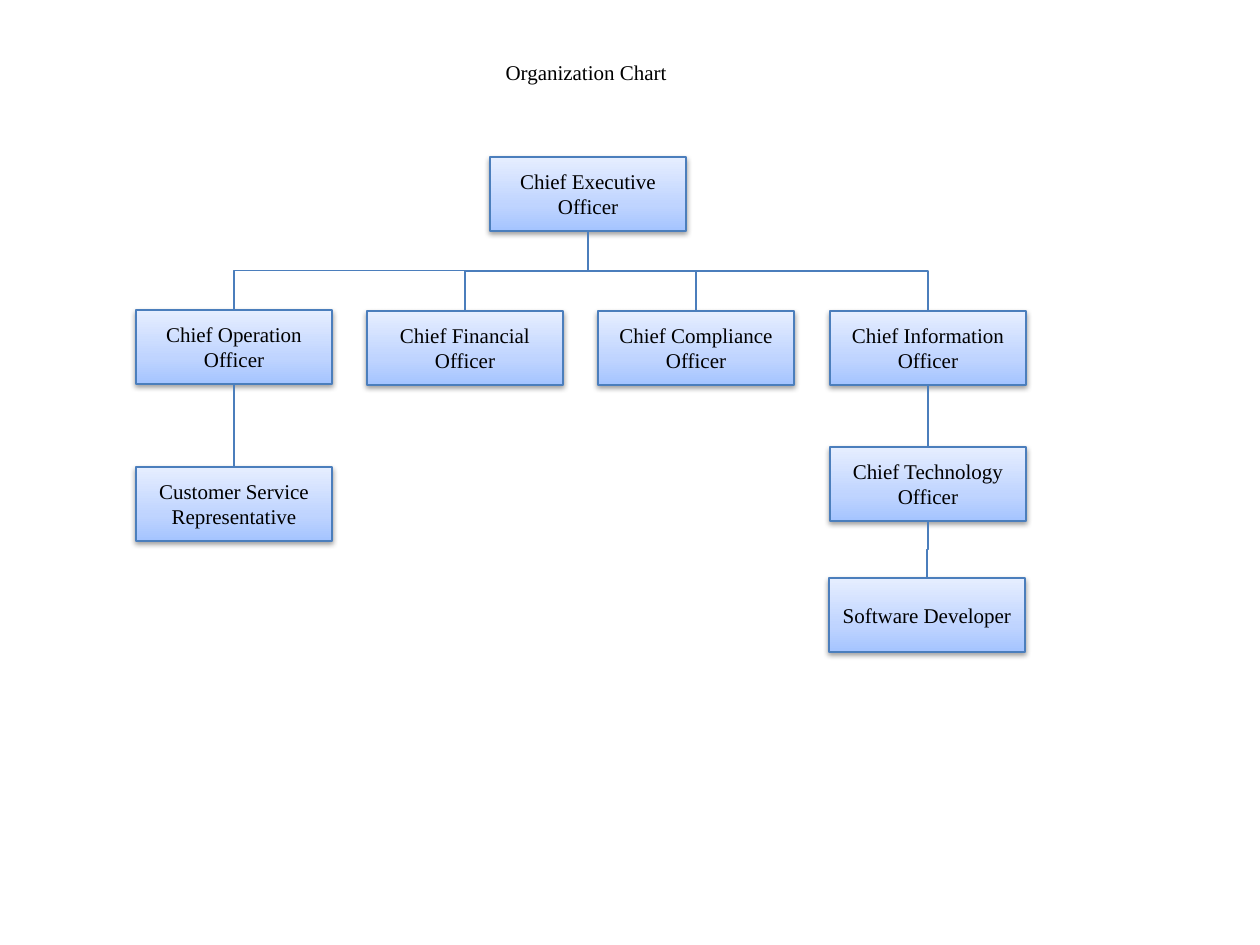
from copy import deepcopy
from pptx import Presentation
from pptx.dml.color import RGBColor
from pptx.enum.shapes import MSO_CONNECTOR, MSO_SHAPE
from pptx.enum.text import MSO_ANCHOR, MSO_AUTO_SIZE, PP_ALIGN
from pptx.oxml import parse_xml
from pptx.oxml.ns import nsdecls, qn
from pptx.util import Inches, Pt

PIXEL = Inches(1) // 126
BOX_WIDTH, BOX_HEIGHT = 196, 74
BLACK = RGBColor(0x00, 0x00, 0x00)
LINE_BLUE = RGBColor(0x4B, 0x7E, 0xBC)
GRADIENT = [
    (0, RGBColor(0xA4, 0xC4, 0xFF)),
    (0.35, RGBColor(0xBF, 0xD4, 0xFF)),
    (1, RGBColor(0xE6, 0xEE, 0xFF)),
]
SHADOW = (
    f'<a:outerShdw {nsdecls("a")} blurRad="40000" dist="20000" dir="5400000" rotWithShape="0">'
    '<a:srgbClr val="000000"><a:alpha val="38000"/></a:srgbClr></a:outerShdw>'
)

POSITIONS = {
    "Chief Executive Officer": (490, 157),
    "Chief Operation Officer": (136, 310),
    "Chief Financial Officer": (367, 311),
    "Chief Compliance Officer": (598, 311),
    "Chief Information Officer": (830, 311),
    "Customer Service Representative": (136, 467),
    "Chief Technology Officer": (830, 447),
    "Software Developer": (829, 578),
}
REPORTS = [
    ("Chief Executive Officer", "Chief Operation Officer"),
    ("Chief Executive Officer", "Chief Financial Officer"),
    ("Chief Executive Officer", "Chief Compliance Officer"),
    ("Chief Executive Officer", "Chief Information Officer"),
    ("Chief Operation Officer", "Customer Service Representative"),
    ("Chief Information Officer", "Chief Technology Officer"),
    ("Chief Technology Officer", "Software Developer"),
]


def format_text(paragraph, alignment):
    paragraph.alignment = alignment
    paragraph.font.name = "Times New Roman"
    paragraph.font.size = Pt(12)
    paragraph.font.color.rgb = BLACK


deck = Presentation()
deck.slide_width, deck.slide_height = Inches(10), Inches(7.5)
page = deck.slides.add_slide(deck.slide_layouts[5])

title = page.shapes.title
title.left, title.top, title.width, title.height = [n * PIXEL for n in (493, 53, 189, 38)]
title.text_frame.text = "Organization Chart"
title.text_frame.word_wrap = False
title.text_frame.auto_size = MSO_AUTO_SIZE.SHAPE_TO_FIT_TEXT
title.text_frame.vertical_anchor = MSO_ANCHOR.TOP
format_text(title.text_frame.paragraphs[0], PP_ALIGN.LEFT)

boxes = {}
for role, (left, top) in POSITIONS.items():
    box = page.shapes.add_shape(
        MSO_SHAPE.RECTANGLE, left * PIXEL, top * PIXEL, BOX_WIDTH * PIXEL, BOX_HEIGHT * PIXEL
    )
    box.fill.gradient()
    box.fill.gradient_angle = 90
    stop_list = box._element.spPr.find(qn("a:gradFill")).find(qn("a:gsLst"))
    stop_list.append(deepcopy(stop_list[-1]))
    for stop, (position, color) in zip(box.fill.gradient_stops, GRADIENT):
        stop.position = position
        stop.color.rgb = color
    box.line.color.rgb = LINE_BLUE
    box.line.width = Pt(0.75)
    box.shadow.inherit = False
    box._element.spPr.find(qn("a:effectLst")).append(parse_xml(SHADOW))
    box.text_frame.text = role
    box.text_frame.word_wrap = True
    box.text_frame.vertical_anchor = MSO_ANCHOR.MIDDLE
    format_text(box.text_frame.paragraphs[0], PP_ALIGN.CENTER)
    boxes[role] = box

for manager, report in REPORTS:
    link = page.shapes.add_connector(MSO_CONNECTOR.ELBOW, 0, 0, 0, 0)
    link.begin_connect(boxes[manager], 2)
    link.end_connect(boxes[report], 0)
    drop = link.end_y - link.begin_y
    shift = link.end_x - link.begin_x
    middle_x = (link.begin_x + link.end_x) // 2
    middle_y = (link.begin_y + link.end_y) // 2
    link.left, link.top = middle_x - drop // 2, middle_y - abs(shift) // 2
    link.width, link.height = drop, abs(shift)
    frame = link._element.spPr.find(qn("a:xfrm"))
    for flip in ("flipH", "flipV"):
        frame.attrib.pop(flip, None)
    frame.set("rot", "16200000" if shift > 0 else "5400000")
    if shift > 0:
        frame.set("flipH", "1")
    link.line.color.rgb = LINE_BLUE
    link.line.width = Pt(0.75)
    link._element.spPr.append(parse_xml(f'<a:effectLst {nsdecls("a")}/>'))

deck.save("out.pptx")
